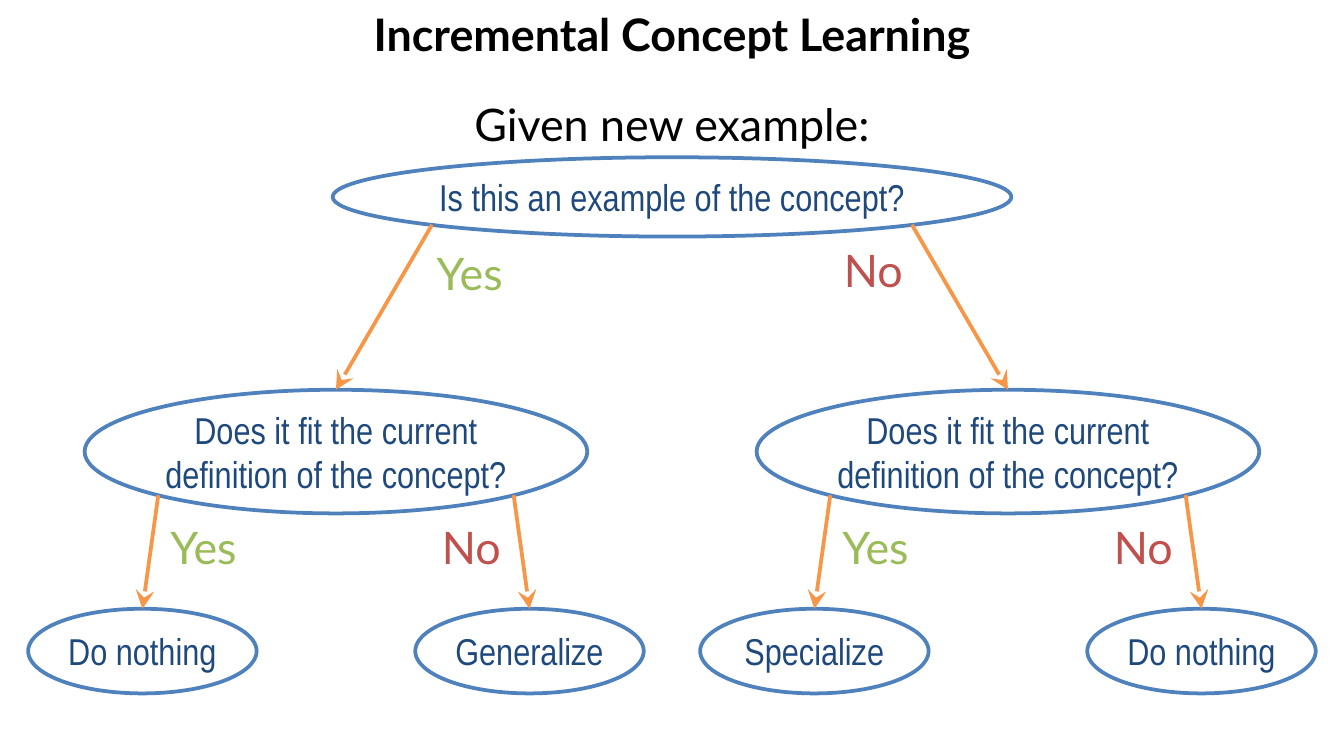
from math import sqrt
from lxml.etree import SubElement
from pptx import Presentation
from pptx.dml.color import RGBColor
from pptx.enum.shapes import MSO_CONNECTOR as Connector, MSO_SHAPE as Shape
from pptx.enum.text import MSO_ANCHOR as Anchor, MSO_AUTO_SIZE as AutoSize, PP_ALIGN as Align
from pptx.oxml.ns import qn
from pptx.util import Inches, Pt

color = RGBColor.from_string


def write(holder, text, size=24, font="Lato", ink="000000", bold=False,
          align=Align.CENTER, anchor=Anchor.TOP, wrap=True, margin=None):
    frame = holder.text_frame
    frame.word_wrap = wrap
    frame.vertical_anchor = anchor
    if margin is not None:
        frame.margin_left = frame.margin_right = margin
        frame.margin_top = frame.margin_bottom = margin
    if not wrap:
        frame.auto_size = AutoSize.SHAPE_TO_FIT_TEXT
    paragraph = frame.paragraphs[0]
    paragraph.alignment = align
    run = paragraph.add_run()
    run.text = text
    run.font.size = Pt(size)
    run.font.name = font
    run.font.bold = bold
    run.font.color.rgb = color(ink)


deck = Presentation()
deck.slide_width = Inches(10)
deck.slide_height = deck.slide_width * 9 // 16
shapes = deck.slides.add_slide(deck.slide_layouts[6]).shapes

for heading, top, bold in [("Incremental Concept Learning", 0, True),
                           ("Given new example:", 0.67, False)]:
    box = shapes.add_textbox(0, Inches(top), deck.slide_width, Inches(0.5))
    write(box, heading, bold=bold)

middle = 5
sides = (middle - 2.5, middle + 2.5)
leaf_offset = 1.44
fit_question = "Does it fit the current definition of the concept?"
outcomes = ["Do nothing", "Generalize", "Specialize", "Do nothing"]
leaf_centers = [side + offset for side in sides for offset in (-leaf_offset, leaf_offset)]

levels = [
    (1.17, 5.05, 0.59, [(middle, "Is this an example of the concept?")]),
    (2.9, 3.74, 0.92, [(side, fit_question) for side in sides]),
    (4.53, 1.7, 0.63, list(zip(leaf_centers, outcomes))),
]

tree = []
for top, width, height, entries in levels:
    nodes = []
    for center, text in entries:
        node = shapes.add_shape(Shape.OVAL, Inches(center - width / 2), Inches(top),
                                Inches(width), Inches(height))
        node.shadow.inherit = False
        node.fill.solid()
        node.fill.fore_color.rgb = color("FFFFFF")
        node.line.color.rgb = color("4F81BD")
        node.line.width = Pt(2)
        write(node, text, size=20, font="Arial Narrow", ink="1F497D",
              anchor=Anchor.MIDDLE, margin=0)
        nodes.append(node)
    tree.append(nodes)

for parents, children in zip(tree, tree[1:]):
    for index, child in enumerate(children):
        parent = parents[index // 2]
        direction = 1 if index % 2 else -1
        start_x = parent.left + parent.width / 2 * (1 + direction / sqrt(2))
        start_y = parent.top + parent.height / 2 * (1 + 1 / sqrt(2))
        branch = shapes.add_connector(Connector.STRAIGHT, int(start_x), int(start_y),
                                      child.left + child.width // 2, child.top)
        branch.end_connect(child, 0)
        branch.line.color.rgb = color("F79646")
        branch.line.width = Pt(2)
        SubElement(branch.line._get_or_add_ln(), qn("a:tailEnd"),
                   type="stealth", w="lg", len="lg")
        SubElement(branch._element.spPr, qn("a:effectLst"))

answers = [(3.15, 1.78, "Yes"), (6.18, 1.76, "No")]
for side in sides:
    answers += [(side - 1.33, 3.82, "Yes"), (side + 0.69, 3.82, "No")]
answer_looks = {"Yes": (0.75, "9BBB59"), "No": (0.66, "C0504D")}

for left, top, answer in answers:
    width, ink = answer_looks[answer]
    label = shapes.add_textbox(Inches(left), Inches(top), Inches(width), Inches(0.5))
    write(label, answer, ink=ink, align=Align.LEFT, wrap=False)

deck.save("out.pptx")
